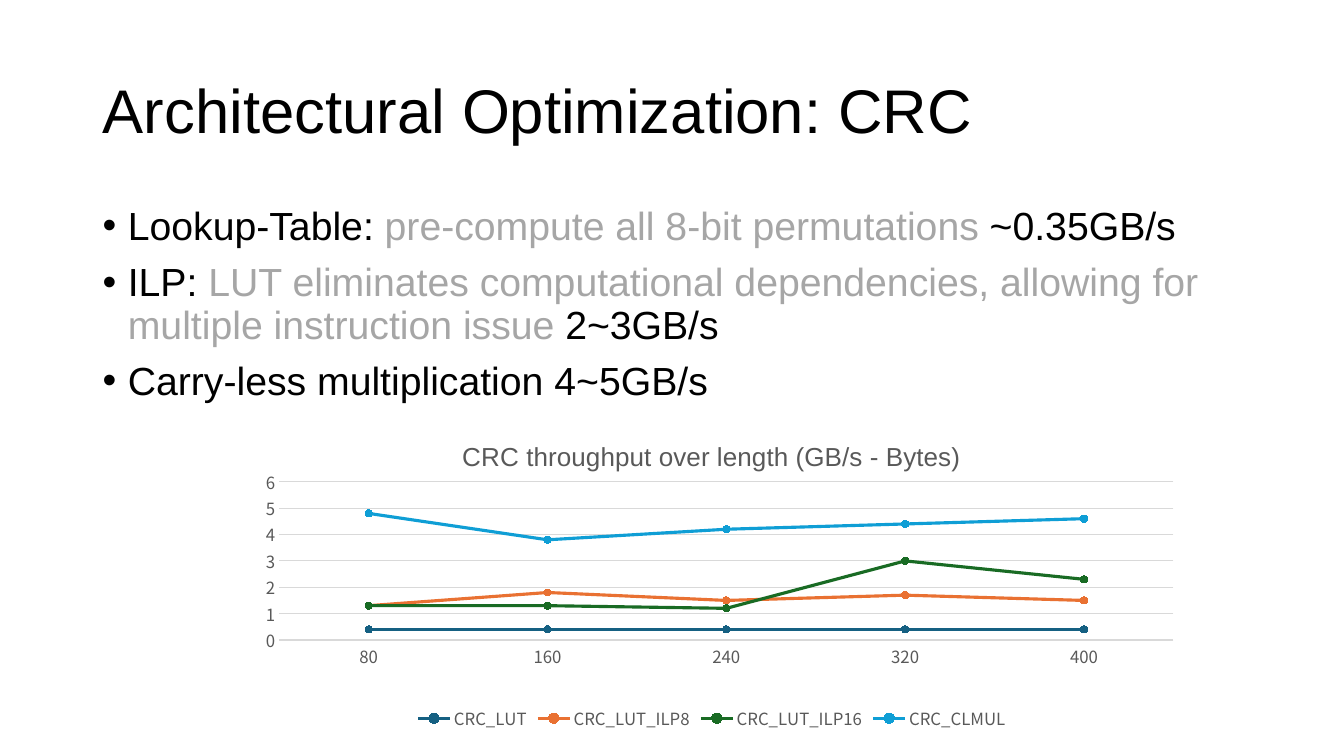
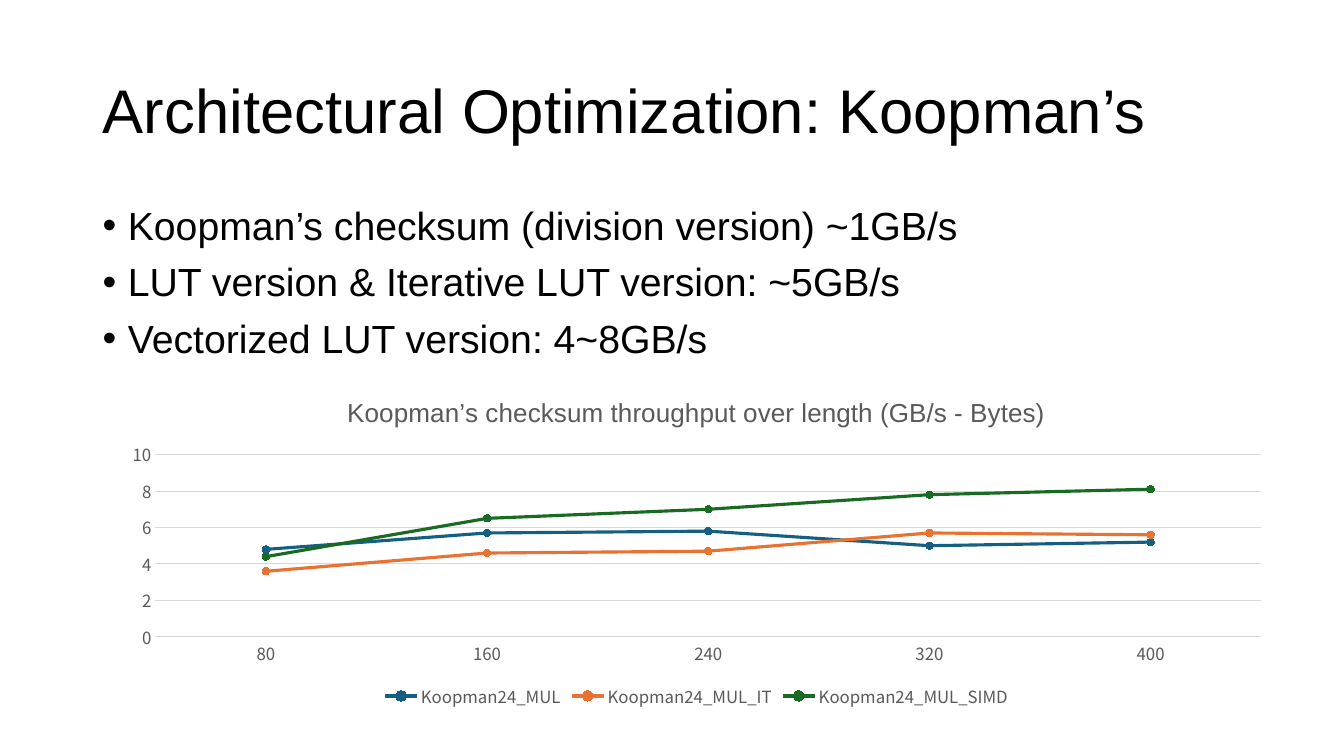
from lxml.etree import SubElement
from pptx import Presentation
from pptx.chart.data import CategoryChartData
from pptx.dml.color import RGBColor
from pptx.enum.chart import XL_CHART_TYPE, XL_LEGEND_POSITION, XL_MARKER_STYLE, XL_TICK_MARK
from pptx.enum.text import MSO_ANCHOR, PP_ALIGN
from pptx.oxml import parse_xml
from pptx.oxml.ns import nsdecls, qn
from pptx.util import Inches, Pt

BLACK, MUTED, CHART_TEXT, GRID = "000000", "A6A6A6", "595959", "D9D9D9"
SERIES_COLORS = ["156082", "E97132", "196B24", "0F9ED5"]
TEXT_FONT, CHART_FONT = "Arial", "Noto Sans CJK SC"
TITLE_BOX = (0.92, 0.4, 11.5, 1.45)
BODY_BOX = (0.92, 2, 11.5, 4.76)
LENGTHS = ["80", "160", "240", "320", "400"]

SLIDES = [
    {
        "title": "Architectural Optimization: CRC",
        "bullets": [
            [("Lookup-Table: ", BLACK), ("pre-compute all 8-bit permutations ", MUTED),
             ("~0.35GB/s", BLACK)],
            [("ILP: ", BLACK),
             ("LUT eliminates computational dependencies, allowing for multiple instruction issue ", MUTED),
             ("2~3GB/s", BLACK)],
            [("Carry-less multiplication 4~5GB/s", BLACK)],
        ],
        "chart_title": "CRC throughput over length (GB/s - Bytes)",
        "chart_box": (2.33, 4.2, 9.46, 3.09),
        "plot_box": (2.77, 4.78, 8.87, 1.57),
        "axis": (6, 1),
        "series": {
            "CRC_LUT": [0.4, 0.4, 0.4, 0.4, 0.4],
            "CRC_LUT_ILP8": [1.3, 1.8, 1.5, 1.7, 1.5],
            "CRC_LUT_ILP16": [1.3, 1.3, 1.2, 3, 2.3],
            "CRC_CLMUL": [4.8, 3.8, 4.2, 4.4, 4.6],
        },
    },
    {
        "title": "Architectural Optimization: Koopman’s",
        "bullets": [
            [("Koopman’s checksum (division version) ~1GB/s", BLACK)],
            [("LUT version & Iterative LUT version: ~5GB/s", BLACK)],
            [("Vectorized LUT version: 4~8GB/s", BLACK)],
        ],
        "chart_title": "Koopman’s checksum throughput over length (GB/s - Bytes)",
        "chart_box": (1.08, 3.75, 11.66, 3.32),
        "plot_box": (1.54, 4.51, 10.97, 1.81),
        "axis": (10, 2),
        "series": {
            "Koopman24_MUL": [4.8, 5.7, 5.8, 5, 5.2],
            "Koopman24_MUL_IT": [3.6, 4.6, 4.7, 5.7, 5.6],
            "Koopman24_MUL_SIMD": [4.4, 6.5, 7, 7.8, 8.1],
        },
    },
]


def color(value):
    return RGBColor.from_string(value)


def inches(box):
    return [Inches(length) for length in box]


def style_font(font, name, size, value):
    font.name = name
    font.size = Pt(size)
    font.bold = False
    font.color.rgb = color(value)


def style_line(line, value, width):
    line.color.rgb = color(value)
    line.width = Pt(width)


def add_title(slide, text):
    title = slide.shapes.title
    title.left, title.top, title.width, title.height = inches(TITLE_BOX)
    title.text_frame.text = text
    title.text_frame.vertical_anchor = MSO_ANCHOR.MIDDLE
    paragraph = title.text_frame.paragraphs[0]
    paragraph.alignment = PP_ALIGN.LEFT
    paragraph.line_spacing = 0.9
    style_font(paragraph.font, TEXT_FONT, 44, BLACK)


def add_bullets(slide, bullets):
    frame = slide.shapes.add_textbox(*inches(BODY_BOX)).text_frame
    frame.word_wrap = True
    for index, runs in enumerate(bullets):
        paragraph = frame.add_paragraph() if index else frame.paragraphs[0]
        paragraph.line_spacing = 0.9
        paragraph.space_before = Pt(10)
        style_font(paragraph.font, TEXT_FONT, 28, BLACK)
        properties = paragraph._p.get_or_add_pPr()
        properties.set("marL", str(Inches(0.25)))
        properties.set("indent", str(-Inches(0.25)))
        bullet_font = SubElement(properties, qn("a:buFont"))
        bullet_font.set("typeface", TEXT_FONT)
        SubElement(properties, qn("a:buChar")).set("char", "•")
        properties.append(properties.find(qn("a:defRPr")))
        for text, value in runs:
            run = paragraph.add_run()
            run.text = text
            run.font.color.rgb = color(value)


def place_plot(chart, chart_box, plot_box):
    left, top, width, height = chart_box
    fractions = {
        "x": (plot_box[0] - left) / width,
        "y": (plot_box[1] - top) / height,
        "w": plot_box[2] / width,
        "h": plot_box[3] / height,
    }
    values = "".join(f'<c:{key} val="{value:.4f}"/>' for key, value in fractions.items())
    layout = parse_xml(
        f'<c:layout {nsdecls("c")}><c:manualLayout><c:layoutTarget val="inner"/>'
        f'<c:xMode val="edge"/><c:yMode val="edge"/>{values}</c:manualLayout></c:layout>')
    plot_area = chart._chartSpace.chart.plotArea
    for old_layout in plot_area.findall(qn("c:layout")):
        plot_area.remove(old_layout)
    plot_area.insert(0, layout)


def add_line_chart(slide, content):
    data = CategoryChartData()
    data.categories = LENGTHS
    for name, values in content["series"].items():
        data.add_series(name, values)
    chart = slide.shapes.add_chart(
        XL_CHART_TYPE.LINE_MARKERS, *inches(content["chart_box"]), data).chart
    style_font(chart.font, CHART_FONT, 12, CHART_TEXT)

    chart.has_title = True
    chart.chart_title.include_in_layout = False
    chart.chart_title.text_frame.text = content["chart_title"]
    style_font(chart.chart_title.text_frame.paragraphs[0].font, TEXT_FONT, 18.6, CHART_TEXT)
    chart.has_legend = True
    chart.legend.position = XL_LEGEND_POSITION.BOTTOM
    chart.legend.include_in_layout = False
    style_font(chart.legend.font, CHART_FONT, 12, CHART_TEXT)

    for axis in (chart.category_axis, chart.value_axis):
        axis.major_tick_mark = axis.minor_tick_mark = XL_TICK_MARK.NONE
        style_font(axis.tick_labels.font, CHART_FONT, 12, CHART_TEXT)
    style_line(chart.category_axis.format.line, GRID, 0.75)
    value_axis = chart.value_axis
    value_axis.format.line.fill.background()
    value_axis.minimum_scale = 0
    value_axis.maximum_scale, value_axis.major_unit = content["axis"]
    value_axis.has_major_gridlines = True
    style_line(value_axis.major_gridlines.format.line, GRID, 0.75)

    plot = chart.plots[0]
    plot.vary_by_categories = False
    for series, value in zip(plot.series, SERIES_COLORS):
        series.smooth = False
        style_line(series.format.line, value, 2.25)
        series.marker.style = XL_MARKER_STYLE.CIRCLE
        series.marker.size = 5
        series.marker.format.fill.solid()
        series.marker.format.fill.fore_color.rgb = color(value)
        style_line(series.marker.format.line, value, 0.75)
    place_plot(chart, content["chart_box"], content["plot_box"])


def main():
    presentation = Presentation()
    presentation.slide_width = Inches(13.33)
    presentation.slide_height = Inches(7.5)
    for content in SLIDES:
        slide = presentation.slides.add_slide(presentation.slide_layouts[5])
        add_title(slide, content["title"])
        add_bullets(slide, content["bullets"])
        add_line_chart(slide, content)
    presentation.save("out.pptx")


if __name__ == "__main__":
    main()
